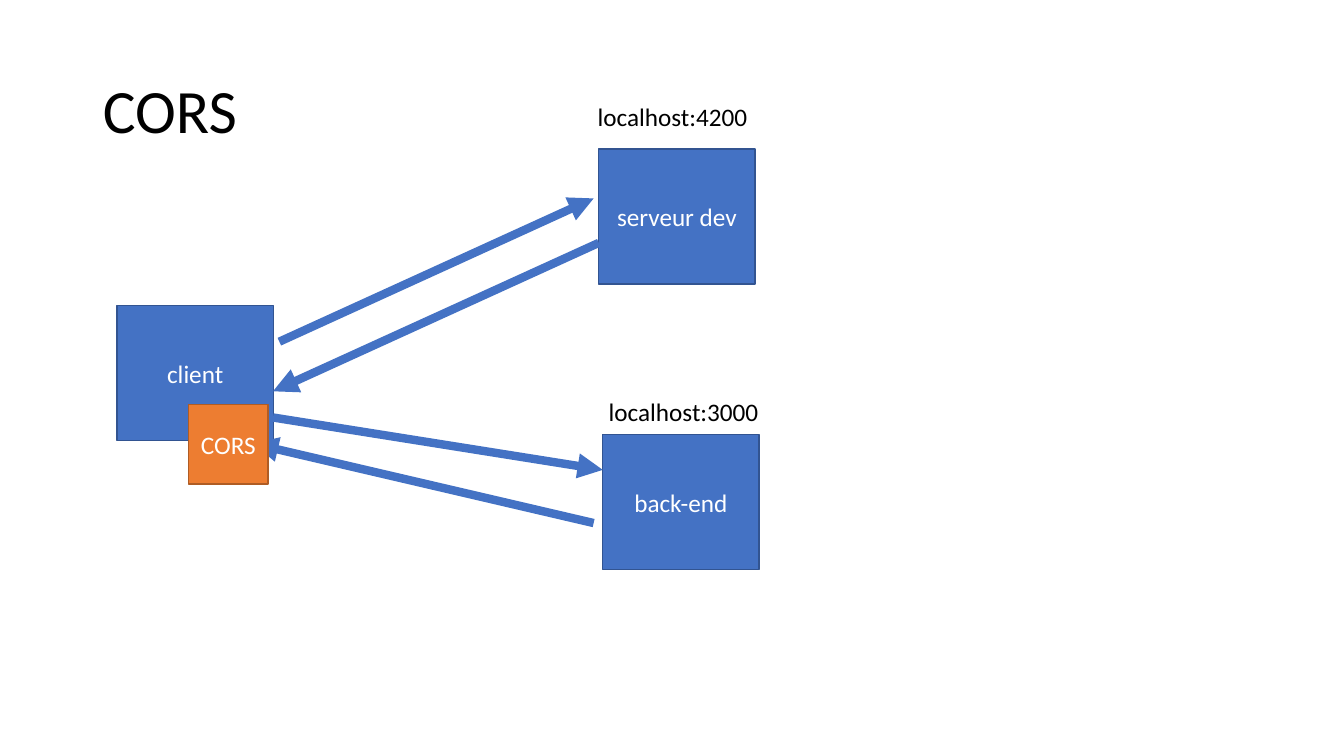
from lxml.etree import SubElement
from pptx import Presentation
from pptx.dml.color import RGBColor
from pptx.enum.shapes import MSO_CONNECTOR, MSO_SHAPE
from pptx.enum.text import MSO_ANCHOR, MSO_AUTO_SIZE, PP_ALIGN
from pptx.oxml.ns import qn
from pptx.util import Cm, Pt

BLUE, NAVY = "4472C4", "325491"
ORANGE, RUST = "ED7D31", "AF5C24"
BLACK, WHITE = "000000", "FFFFFF"
WIDE, HIGH = 3.94, 3.4


def paint(color, code):
    color.rgb = RGBColor.from_string(code)


def write(frame, text, size, code, align=PP_ALIGN.LEFT):
    frame.text = text
    para = frame.paragraphs[0]
    para.alignment = align
    para.font.name = "Calibri"
    para.font.size = Pt(size)
    paint(para.font.color, code)
    return para


def add_title(slide, text):
    title = slide.shapes.title
    title.left, title.top = Cm(2.34), Cm(1.02)
    title.width, title.height = Cm(29.21), Cm(3.68)
    title.text_frame.vertical_anchor = MSO_ANCHOR.MIDDLE
    write(title.text_frame, text, 44, BLACK).line_spacing = 0.9


def add_box(slide, text, left, top, wide=WIDE, high=HIGH, fill=BLUE, edge=NAVY):
    box = slide.shapes.add_shape(
        MSO_SHAPE.RECTANGLE, Cm(left), Cm(top), Cm(wide), Cm(high))
    box.shadow.inherit = False
    box.fill.solid()
    paint(box.fill.fore_color, fill)
    paint(box.line.color, edge)
    box.line.width = Pt(1)
    box.text_frame.vertical_anchor = MSO_ANCHOR.MIDDLE
    write(box.text_frame, text, 18, WHITE, PP_ALIGN.CENTER)


def add_label(slide, text, left, top):
    label = slide.shapes.add_textbox(Cm(left), Cm(top), Cm(4.32), Cm(1.02))
    frame = label.text_frame
    frame.word_wrap = False
    frame.auto_size = MSO_AUTO_SIZE.SHAPE_TO_FIT_TEXT
    write(frame, text, 18, BLACK)


def add_arrow(slide, start, end):
    points = [Cm(value) for value in start + end]
    arrow = slide.shapes.add_connector(MSO_CONNECTOR.STRAIGHT, *points)
    paint(arrow.line.color, BLUE)
    arrow.line.width = Pt(6)
    SubElement(arrow.line._get_or_add_ln(), qn("a:tailEnd"), type="triangle")
    SubElement(arrow._element.spPr, qn("a:effectLst"))


def main():
    deck = Presentation()
    deck.slide_width, deck.slide_height = Cm(33.87), Cm(19.05)
    slide = deck.slides.add_slide(deck.slide_layouts[5])

    add_title(slide, "CORS")
    add_box(slide, "client", 2.95, 7.7)
    add_box(slide, "serveur dev", 15.09, 3.76)
    add_label(slide, "localhost:4200", 14.81, 2.44)
    add_box(slide, "back-end", 15.19, 10.95)
    add_label(slide, "localhost:3000", 15.09, 9.86)

    for start, end in (
        ((7.04, 8.61), (14.96, 5)),
        ((15.09, 6.12), (6.88, 9.86)),
        ((6.88, 10.52), (15.19, 11.84)),
        ((14.96, 13.18), (6.38, 11.18)),
    ):
        add_arrow(slide, start, end)

    add_box(slide, "CORS", 4.75, 10.19, 2.01, 2.01, ORANGE, RUST)
    deck.save("out.pptx")


if __name__ == "__main__":
    main()
